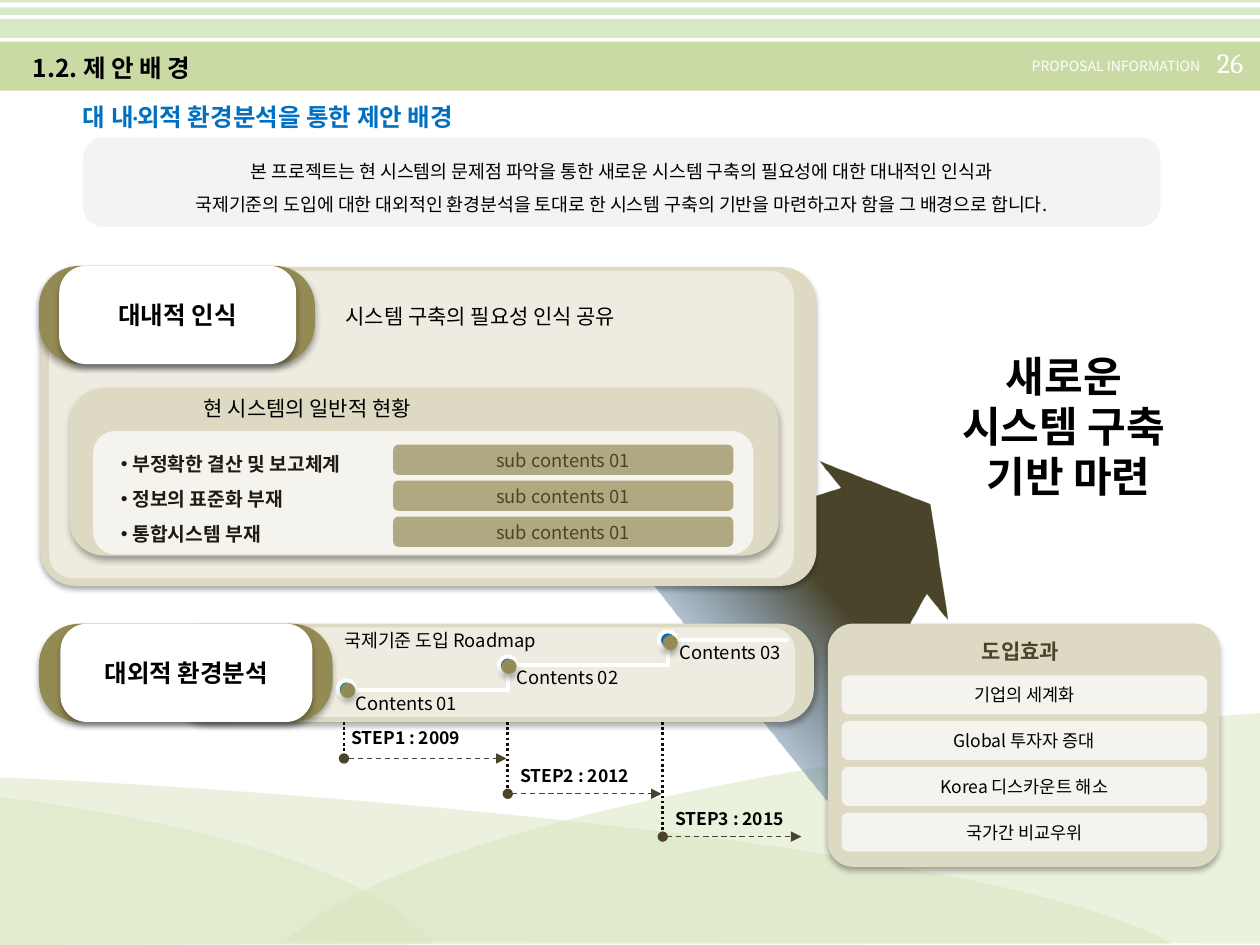
"""Build the proposal background slide with its two analysis panels and effects."""
from dataclasses import dataclass
from math import cos, radians, sin

from lxml import etree
from pptx import Presentation
from pptx.dml.color import RGBColor
from pptx.enum.dml import MSO_LINE
from pptx.enum.shapes import MSO_CONNECTOR, MSO_SHAPE
from pptx.enum.text import MSO_ANCHOR, MSO_AUTO_SIZE, PP_ALIGN
from pptx.oxml import parse_xml
from pptx.oxml.ns import nsdecls, qn
from pptx.util import Inches, Pt

RECTANGLE, ROUNDED, OVAL = MSO_SHAPE.RECTANGLE, MSO_SHAPE.ROUNDED_RECTANGLE, MSO_SHAPE.OVAL
STRAIGHT, ELBOW = MSO_CONNECTOR.STRAIGHT, MSO_CONNECTOR.ELBOW
LEFT, CENTER = PP_ALIGN.LEFT, PP_ALIGN.CENTER
TOP, MIDDLE = MSO_ANCHOR.TOP, MSO_ANCHOR.MIDDLE
DOTTED, DASHED = MSO_LINE.ROUND_DOT, MSO_LINE.DASH
SANS, SERIF = "Noto Sans CJK KR", "Cambria"
BLACK, WHITE, BLUE = "000000", "FFFFFF", "0070C0"
SAND, CREAM, OLIVE, DARK = "DDD9C3", "EEECE1", "948A54", "4A452A"
Point = tuple[float, float]


@dataclass
class Style:
    size: float
    color: str = BLACK
    bold: bool = False
    align: PP_ALIGN = CENTER
    font: str = SANS
    spacing: float = 1.0


@dataclass
class Card:
    box: tuple[float, float, float, float]
    fill: str
    corner: float = 0.18
    alpha: int = 100
    shadow: bool = False
    kind: MSO_SHAPE = ROUNDED


@dataclass
class Milestone:
    ring: Point
    knob: Point
    contents: str
    contents_at: Point
    axis: float
    drop: float
    step: str
    step_box: tuple[float, float, float, float]
    arrow_y: float
    arrow_end: float


@dataclass
class Hill:
    points: list[Point]
    alpha: int


def paint(fill, color: str, alpha: int = 100) -> None:
    fill.solid()
    fill.fore_color.rgb = RGBColor.from_string(color)
    if alpha < 100:
        node = fill._xPr.find(qn("a:solidFill"))[0]
        etree.SubElement(node, qn("a:alpha"), val=str(alpha * 1000))


def write(shape, text: str, style: Style, anchor=MIDDLE, wrap: bool = True) -> None:
    frame = shape.text_frame
    frame.text = text
    frame.word_wrap = wrap
    frame.vertical_anchor = anchor
    for paragraph in frame.paragraphs:
        paragraph.alignment = style.align
        paragraph.line_spacing = style.spacing
        for run in paragraph.runs:
            run.font.size = Pt(style.size)
            run.font.bold = style.bold
            run.font.name = style.font
            run.font.color.rgb = RGBColor.from_string(style.color)


def add_card(slide, card: Card, text: str = "", style: Style | None = None):
    shape = slide.shapes.add_shape(card.kind, *map(Inches, card.box))
    if card.kind == ROUNDED:
        shape.adjustments[0] = card.corner
    paint(shape.fill, card.fill, card.alpha)
    shape.line.fill.background()
    shape.shadow.inherit = False
    if card.shadow:
        shape._element.spPr.find(qn("a:effectLst")).append(parse_xml(
            f'<a:outerShdw {nsdecls("a")} blurRad="44450" dist="27940" dir="5400000">'
            '<a:srgbClr val="000000"><a:alpha val="32000"/></a:srgbClr></a:outerShdw>'))
    if style:
        write(shape, text, style)
    return shape


def add_label(slide, box, text: str, style: Style, wrap: bool = False) -> None:
    write(slide.shapes.add_textbox(*map(Inches, box)), text, style, TOP, wrap)


def place(shape, box) -> None:
    shape.left, shape.top, shape.width, shape.height = map(Inches, box)
    shape.text_frame.auto_size = MSO_AUTO_SIZE.NONE
    shape._element.getparent().append(shape._element)


def add_line(slide, start: Point, end: Point, color: str, width: float,
             dash=None, kind=STRAIGHT, arrow: bool = False) -> None:
    connector = slide.shapes.add_connector(kind, *map(Inches, start + end))
    properties = connector._element.spPr
    if kind == ELBOW:
        properties.find(qn("a:prstGeom")).set("prst", "bentConnector2")
    connector.line.color.rgb = RGBColor.from_string(color)
    connector.line.width = Pt(width)
    if dash:
        connector.line.dash_style = dash
    if arrow:
        line = properties.find(qn("a:ln"))
        etree.SubElement(line, qn("a:headEnd"), type="oval")
        etree.SubElement(line, qn("a:tailEnd"), type="triangle")
    etree.SubElement(properties, qn("a:effectLst"))


def add_outline(slide, points: list[Point], curve_starts: list[int]):
    scaled = [(Inches(x), Inches(y)) for x, y in points]
    builder = slide.shapes.build_freeform(*scaled[0], scale=1.0)
    builder.add_line_segments(scaled[1:], close=True)
    shape = builder.convert_to_shape()
    segments = list(shape._element.iter(qn("a:lnTo")))
    for start in curve_starts:
        first, *others = segments[start:start + 3]
        first.tag = qn("a:cubicBezTo")
        for segment in others:
            first.append(segment[0])
            segment.getparent().remove(segment)
    shape.line.fill.background()
    shape.shadow.inherit = False
    return shape


def add_hill(slide, hill: Hill) -> None:
    paint(add_outline(slide, hill.points + hill.points[:1], [2]).fill, "D7E4BD", hill.alpha)


def add_big_arrow(slide) -> None:
    points = [(6.5, 3.66), (7.38, 4), (7.52, 4.92), (7.35, 4.71), (7.02, 5.28), (6.82, 5.8), (6.56, 6.35),
              (5.39, 4.9), (4.89, 4.26), (5.52, 4.12), (6.07, 4.08), (6.67, 3.87)]
    turn, center_x, center_y = 51.2, 6.545, 4.645
    cosine, sine = cos(radians(turn)), sin(radians(turn))
    level = [(center_x + (x - center_x) * cosine + (y - center_y) * sine,
              center_y - (x - center_x) * sine + (y - center_y) * cosine) for x, y in points]
    shape = add_outline(slide, level, [3, 8])
    shape.rotation = turn
    shape.fill.solid()
    solid = shape._element.spPr.find(qn("a:solidFill"))
    stops = "".join(
        f'<a:gs pos="{position}000"><a:srgbClr val="{color}"><a:alpha val="{alpha}000"/></a:srgbClr></a:gs>'
        for position, color, alpha in [(0, DARK, 100), (50, DARK, 100), (89, "4B8DDE", 0)])
    solid.getparent().replace(solid, parse_xml(
        f'<a:gradFill {nsdecls("a")} rotWithShape="1"><a:gsLst>{stops}</a:gsLst>'
        '<a:lin ang="5400000" scaled="0"/></a:gradFill>'))


def add_header(slide) -> None:
    add_hill(slide, Hill([(3.44, 7.49), (0, 7.5), (0, 6.33), (0.66, 6.39), (2.91, 6.76)], 46))
    for top, height, color, alpha in [(0.33, 0.39, "C3D69B", 89), (0.15, 0.15, "D8EAC5", 100),
                                      (0.06, 0.06, "D8EAC5", 100), (0, 0.02, "D8EAC5", 100)]:
        add_card(slide, Card((0, top, 10, height), color, alpha=alpha, kind=RECTANGLE))
    add_label(slide, (9.56, 0.31, 0.43, 0.37), "26", Style(16, WHITE, align=LEFT, font=SERIF))
    add_label(slide, (8.09, 0.41, 1.6, 0.23), "PROPOSAL INFORMATION", Style(8, WHITE, align=LEFT), True)
    add_hill(slide, Hill([(9.3, 7.49), (0, 7.5), (0, 6.17), (1.79, 6.24), (7.86, 6.66)], 49))
    add_hill(slide, Hill([(2.27, 7.47), (10, 7.49), (10, 5.66), (8.51, 5.76), (3.46, 6.33)], 50))
    add_card(slide, Card((0.66, 1.09, 8.55, 0.71), "D9D9D9", 0.229, 31),
             "본 프로젝트는 현 시스템의 문제점 파악을 통한 새로운 시스템 구축의 필요성에 대한 대내적인 인식과\n"
             "국제기준의 도입에 대한 대외적인 환경분석을 토대로 한 시스템 구축의 기반을 마련하고자 함을 그 배경으로 합니다.",
             Style(10.5, spacing=1.5))
    add_label(slide, (0.56, 0.76, 3.43, 0.34), "대 내·외적 환경분석을 통한 제안 배경",
              Style(14, BLUE, True, LEFT, SERIF), True)
    place(slide.shapes.title, (0.16, 0.37, 1.59, 0.34))
    write(slide.shapes.title, "1.2. 제 안 배 경", Style(14, bold=True, align=LEFT), TOP, False)


def add_effects(slide) -> None:
    add_card(slide, Card((6.57, 4.95, 3.11, 1.93), SAND, 0.104, shadow=True))
    effects = ["기업의 세계화", "Global 투자자 증대", "Korea 디스카운트 해소", "국가간 비교우위"]
    for index, effect in enumerate(effects):
        add_card(slide, Card((6.68, 5.36 + index * 0.363, 2.9, 0.31), WHITE, alpha=71), effect, Style(10))
    add_label(slide, (7.66, 5.02, 0.88, 0.3), "도입효과", Style(12, DARK, True))


def add_roadmap(slide) -> None:
    milestones = [
        Milestone((2.68, 5.4), (2.7, 5.42), "Contents 01", (2.72, 5.44), 2.73, 5.97,
                  "STEP1 : 2009", (2.69, 5.72, 1.06, 0.27), 6.02, 4.02),
        Milestone((3.96, 5.21), (3.98, 5.23), "Contents 02", (4, 5.24), 4.03, 6.32,
                  "STEP2 : 2012", (4.03, 6.02, 1.1, 0.27), 6.3, 5.25),
        Milestone((5.23, 5.01), (5.26, 5.04), "Contents 03", (5.29, 5.04), 5.26, 6.63,
                  "STEP3 : 2015", (5.26, 6.36, 1.06, 0.27), 6.64, 6.36)]
    for stone in milestones:
        add_line(slide, (stone.axis, 5.73), (stone.axis, stone.drop), "0D0D0D", 1.5, DOTTED)
        add_label(slide, stone.step_box, stone.step, Style(10, bold=True, align=LEFT))
    add_card(slide, Card((1.38, 4.95, 5.08, 0.78), SAND, 0.344, shadow=True))
    add_card(slide, Card((1.64, 4.98, 4.67, 0.71), CREAM, 0.265))
    for start, end in [((2.73, 5.48), (4.03, 5.35)), ((4.02, 5.28), (5.3, 5.15))]:
        add_line(slide, start, end, WHITE, 2.25, kind=ELBOW)
    add_line(slide, (5.39, 5.08), (6.25, 5.08), WHITE, 2.25)
    for stone in milestones:
        ring = add_card(slide, Card((*stone.ring, 0.14, 0.14), BLUE, kind=OVAL))
        paint(ring.line.fill, WHITE)
        ring.line.width = Pt(2.25)
        add_card(slide, Card((*stone.knob, 0.12, 0.12), OLIVE, 0.5, shadow=True))
        add_label(slide, (*stone.contents_at, 1.01, 0.28), stone.contents, Style(10.5))
        add_line(slide, (stone.axis, stone.arrow_y), (stone.arrow_end, stone.arrow_y), DARK, 0.75, DASHED, arrow=True)
    add_tab(slide, 4.95, 2.33, 0.48, 2, "대외적 환경분석")
    add_label(slide, (2.58, 4.94, 1.83, 0.28), "국제기준 도입 Roadmap", Style(10.5))


def add_tab(slide, top: float, width: float, face_left: float, face_width: float, text: str) -> None:
    add_card(slide, Card((0.31, top, width, 0.78), OLIVE, 0.411, shadow=True))
    add_card(slide, Card((face_left, top, face_width, 0.78), WHITE, 0.272, shadow=True), text, Style(14, bold=True))


def add_awareness(slide) -> None:
    add_card(slide, Card((0.32, 2.12, 6.16, 2.53), SAND, 0.11, shadow=True))
    add_card(slide, Card((0.39, 2.15, 5.91, 2.44), CREAM, 0.078))
    add_tab(slide, 2.11, 2.19, 0.47, 1.88, "대내적 인식")
    add_card(slide, Card((0.55, 3.08, 5.63, 1.33), SAND, 0.21, shadow=True))
    add_card(slide, Card((0.74, 3.42, 5.24, 0.98), WHITE, alpha=71))
    add_label(slide, (2.5, 2.36, 2.63, 0.3), "시스템 구축의 필요성 인식 공유", Style(12))
    add_label(slide, (1.41, 3.09, 2.06, 0.3), "현 시스템의 일반적 현황", Style(12))
    body = slide.placeholders[1]
    place(body, (0.86, 3.45, 2.17, 0.9))
    write(body, "부정확한 결산 및 보고체계\n정보의 표준화 부재\n통합시스템 부재",
          Style(11, "1E1C11", True, LEFT, spacing=1.5), TOP, False)
    for paragraph in body.text_frame.paragraphs:
        paragraph.space_before = Pt(0)
        properties = paragraph._p.get_or_add_pPr()
        properties.set("marL", str(Inches(0.09)))
        properties.set("indent", str(-Inches(0.09)))
        etree.SubElement(properties, qn("a:buChar"), char="•")
    for index in range(3):
        add_card(slide, Card((3.12, 3.53 + index * 0.285, 2.7, 0.24), OLIVE, alpha=71),
                 "sub contents 01", Style(10.5, DARK))


def main() -> None:
    presentation = Presentation()
    presentation.slide_width, presentation.slide_height = Inches(10), Inches(7.5)
    slide = presentation.slides.add_slide(presentation.slide_layouts[1])
    add_header(slide)
    add_big_arrow(slide)
    add_effects(slide)
    add_roadmap(slide)
    add_label(slide, (7.42, 2.73, 2.12, 1.31), "새로운 \n시스템 구축 \n기반 마련", Style(24, bold=True))
    add_awareness(slide)
    presentation.save("out.pptx")


if __name__ == "__main__":
    main()
